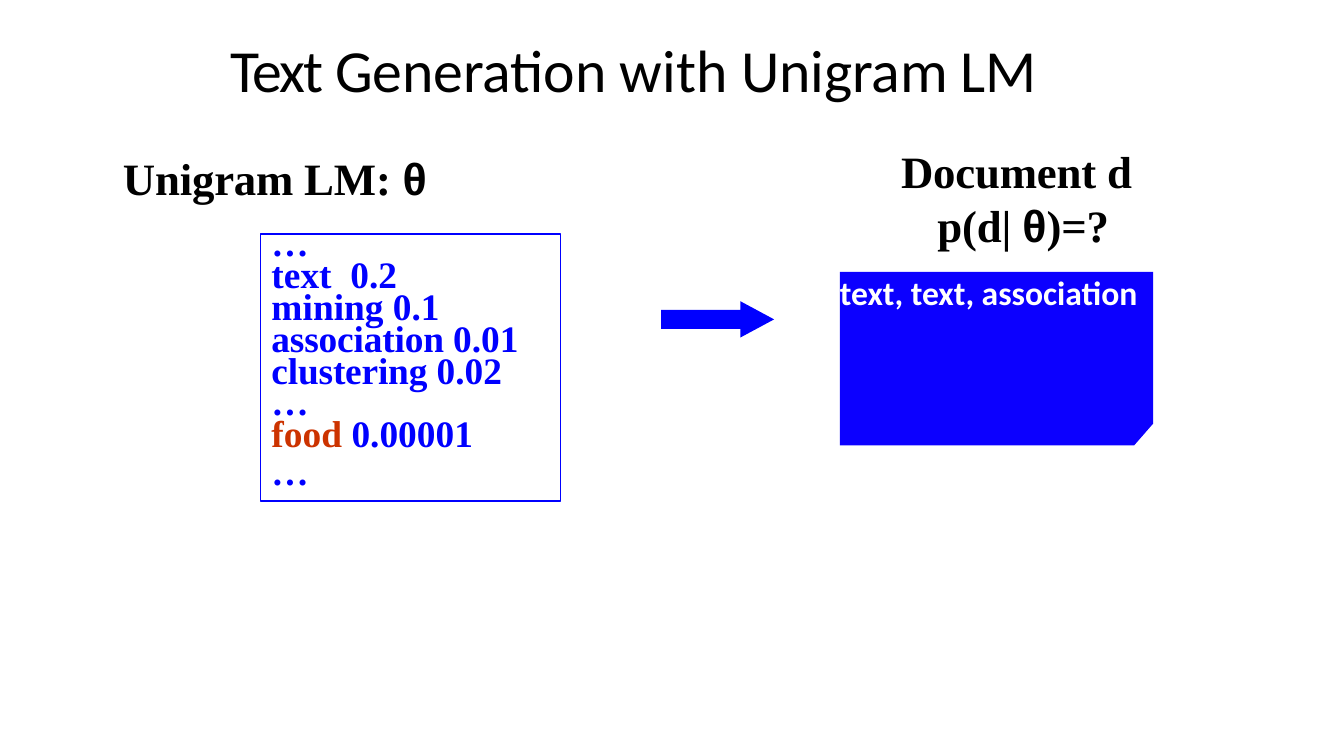
from pptx import Presentation
from pptx.dml.color import RGBColor
from pptx.enum.shapes import MSO_SHAPE
from pptx.enum.text import MSO_ANCHOR, MSO_AUTO_SIZE, PP_ALIGN
from pptx.oxml.ns import qn
from pptx.util import Inches, Pt
from lxml.etree import SubElement

deck = Presentation()
deck.slide_width = Inches(10)
deck.slide_height = deck.slide_width * 9 // 16
col, row = deck.slide_width / 100, deck.slide_height / 100
slide = deck.slides.add_slide(deck.slide_layouts[1])
shapes = slide.shapes

HEAD = dict(name="Times New Roman", size=Pt(24), bold=True)
TERM = dict(name="Times New Roman", size=Pt(20), bold=True)
TITLE = dict(name="Calibri", size=Pt(32), bold=False)
WORDS = dict(name="Calibri", size=Pt(18), bold=True)


def paint(part, code):
    part.rgb = RGBColor.from_string(code)


def write(par, runs, style, hue="000000"):
    """Add runs of (text, letter spacing in points, changes)."""
    par.alignment = PP_ALIGN.LEFT
    for text, gap, diff in runs:
        run = par.add_run()
        run.text = text
        look = {**style, "hue": hue, **diff}
        paint(run.font.color, look.pop("hue"))
        for key, val in look.items():
            setattr(run.font, key, val)
        run.font._element.set("spc", str(round(gap * 100)))


# Parts, with left, top, width and height in percent of the slide
title, terms = shapes.title, slide.placeholders[1]
model = shapes.add_textbox(0, 0, 0, 0)
label = shapes.add_textbox(0, 0, 0, 0)
arrow = shapes.add_shape(MSO_SHAPE.RIGHT_ARROW, 0, 0, 0, 0)
spots = [
    (title, 16.15, 3.4, 71.9, 11.4),
    (terms, 19.4, 30.95, 22.3, 35.35),
    (model, 9.05, 19.8, 29.9, 7.65),
    (label, 66.95, 18.9, 19.5, 14.6),
    (arrow, 49.2, 39.85, 8.4, 4.8),
]
for part, left, top, width, height in spots:
    part.left, part.top = round(left * col), round(top * row)
    part.width, part.height = round(width * col), round(height * row)

# Document sheet with a cut corner
edge = [(85.8, 35.95), (62.5, 35.95), (62.5, 58.9), (84.4, 58.9), (85.8, 56.05)]
dots = [(round(x * col), round(y * row)) for x, y in edge]
pen = shapes.build_freeform(*dots[0])
pen.add_line_segments(dots[1:], close=True)
sheet = pen.convert_to_shape()

# Fills and outlines
for part, hue in [(sheet, "0C00FF"), (arrow, "0000FF")]:
    part.shadow.inherit = False
    part.fill.solid()
    paint(part.fill.fore_color, hue)
    part.line.fill.background()
arrow.adjustments[0], arrow.adjustments[1] = 0.52, 0.93
terms.line.width = Pt(0.75)
paint(terms.line.color, "0000FF")

# Text frames: insets at the sides, then at the top
for part, side, top in [(title, 0.1, 0.05), (terms, 0, 0), (sheet, 0, 0),
                        (model, 0, 0.01), (label, 0, 0.01)]:
    form = dict(margin_left=Inches(side), margin_right=Inches(side),
                margin_top=Inches(top), margin_bottom=Inches(side / 2),
                word_wrap=True, auto_size=MSO_AUTO_SIZE.NONE,
                vertical_anchor=MSO_ANCHOR.TOP)
    for key, val in form.items():
        setattr(part.text_frame, key, val)

# Title and headings
write(title.text_frame.paragraphs[0],
      [("Text ", -1, {}), ("Generation ", -0.1, {}), ("with ", 0, {}),
       ("Unigram LM", -0.1, {})], TITLE)

par = model.text_frame.paragraphs[0]
prop = par._p.get_or_add_pPr()
prop.set("marL", str(Inches(0.01)))
stops = SubElement(prop, qn("a:tabLst"))
SubElement(stops, qn("a:tab"), pos=str(Inches(2.08)), algn="l")
write(par, [("Unigram LM:\t", -0.1, {}), ("θ", 0, {"name": "Arial"})], HEAD)

par = label.text_frame.paragraphs[0]
prop = par._p.get_or_add_pPr()
prop.set("marL", str(Inches(0.28)))
prop.set("indent", str(Inches(-0.27)))
write(par, [("Document d p(d| ", -0.1, {}), ("θ", -0.1, {"name": "Arial"}),
            (")=?", -0.1, {})], HEAD)

write(sheet.text_frame.paragraphs[0], [("text, text, association", 0, {})], WORDS, "FFFFFF")

# Word chances of the model: line height, then runs
rows = [
    (16.2, [("…", 0, {})]),
    (17.1, [("text", 0, {}), (" ", 5, {}), ("0.2", 0, {})]),
    (17, [("mining 0.1", 0, {})]),
    (17, [("association ", -0.1, {}), ("0.01", 0, {})]),
    (17.1, [("clustering ", -0.1, {}), ("0.02", 0, {})]),
    (17, [("…", 0, {})]),
    (17, [("food ", 0, {"hue": "CC3300"}), ("0.00001", 0, {})]),
    (20.5, [("…", 0, {})]),
]
frame = terms.text_frame
for num, (high, runs) in enumerate(rows):
    par = frame.add_paragraph() if num else frame.paragraphs[0]
    prop = par._p.get_or_add_pPr()
    prop.set("marL", str(Inches(0.08)))
    prop.set("indent", "0")
    SubElement(prop, qn("a:buNone"))
    par.line_spacing, par.space_before = Pt(high), Pt(0)
    write(par, runs, TERM, "0000FF")

deck.save("out.pptx")
